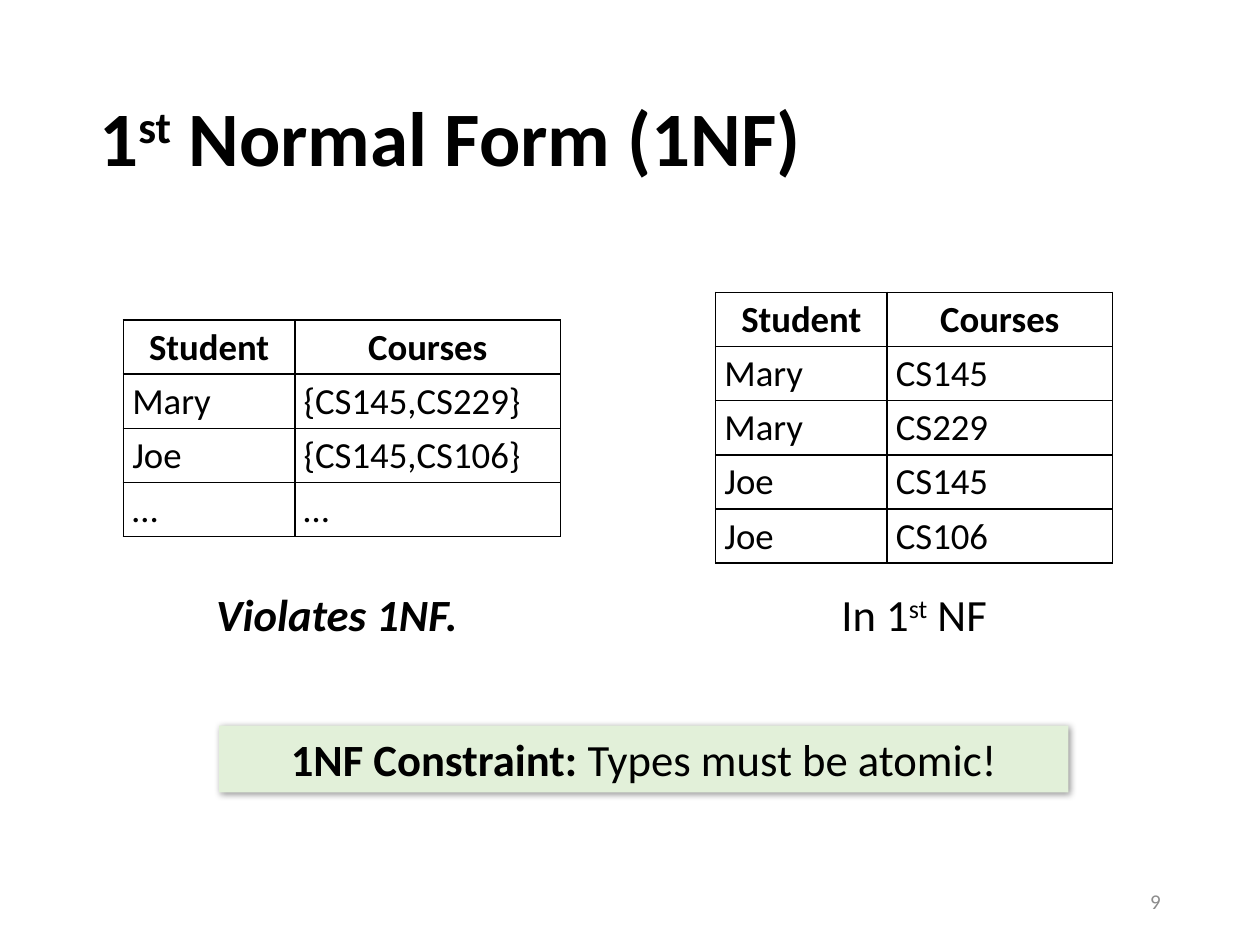
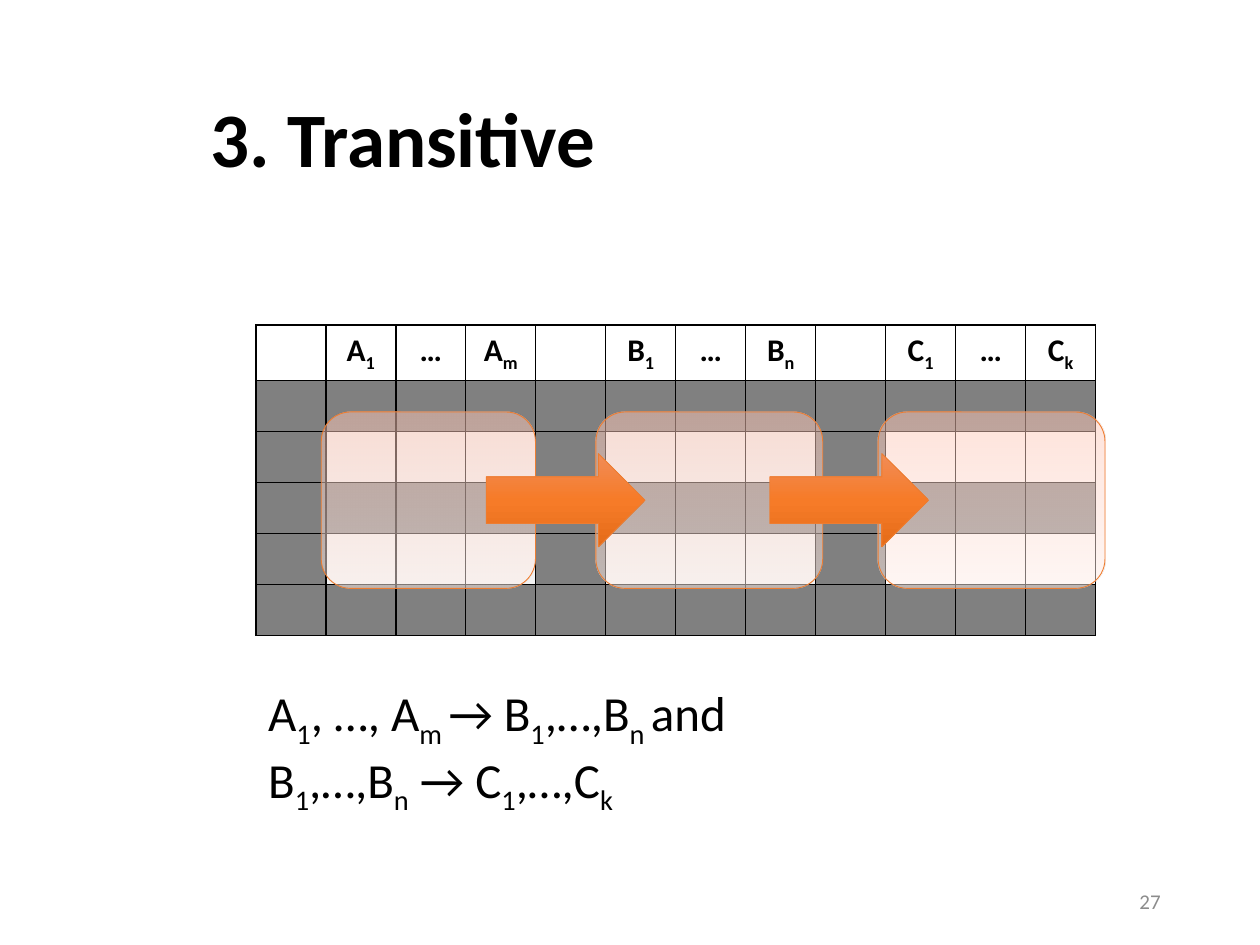
from lxml.etree import SubElement
from pptx import Presentation
from pptx.dml.color import RGBColor
from pptx.enum.shapes import MSO_SHAPE
from pptx.enum.text import MSO_ANCHOR, PP_ALIGN
from pptx.oxml import parse_xml
from pptx.oxml.ns import nsdecls, qn
from pptx.util import Inches, Pt

COLORS = {"ink": "000000", "number": "8C8C8C", "note": "E2F0D9", "dark": "808080",
          "pale": "F2F2F2", "white": "FFFFFF", "orange": "ED7D31"}
# Gradient stops: position in percent, colour, opacity in percent
GROUP_STOPS = [(0, "FFC7B6", 50), (35, "FFD7CB", 50), (100, "FFF0EB", 50)]
ARROW_STOPS = [(0, "F18C57", 100), (50, "F67B28", 100), (100, "E56C19", 100)]
BASELINES = {"^": "30000", "_": "-25000"}
LEFT, CENTER, RIGHT = PP_ALIGN.LEFT, PP_ALIGN.CENTER, PP_ALIGN.RIGHT


def write_runs(para, runs, size, align=LEFT, color="ink"):
    """Leading marks of a run: * bold, / italic, ^ superscript, _ subscript."""
    para.alignment = align
    for run in runs:
        text = run.lstrip("*/^_")
        marks = run[:len(run) - len(text)]
        span = para.add_run()
        span.text = text
        span.font.name = "Calibri"
        span.font.size = Pt(size)
        span.font.bold = "*" in marks
        span.font.italic = "/" in marks
        span.font.color.rgb = RGBColor.from_string(COLORS[color])
        for mark in marks:
            if mark in BASELINES:
                span.font._element.set("baseline", BASELINES[mark])


def add_text(page, place, lines, size, align=LEFT, anchor=MSO_ANCHOR.TOP, color="ink"):
    box = page.shapes.add_textbox(*map(Inches, place))
    frame = box.text_frame
    frame.word_wrap = True
    frame.vertical_anchor = anchor
    for index, runs in enumerate(lines):
        para = frame.add_paragraph() if index else frame.paragraphs[0]
        write_runs(para, runs, size, align, color)
    return box


deck = Presentation()
deck.slide_width, deck.slide_height = Inches(10), Inches(7.5)
normal_form, transitive = [deck.slides.add_slide(deck.slide_layouts[6]) for _ in range(2)]

# Titles and page numbers
for page, place, title, number in [
    (normal_form, (0.69, 0.4, 8.62, 1.45), ["*1", "*^st", "* Normal Form (1NF)"], "9"),
    (transitive, (1.57, 0.66, 6.75, 0.94), ["*3. Transitive"], "27"),
]:
    box = add_text(page, place, [title], 44, anchor=MSO_ANCHOR.MIDDLE)
    box.text_frame.paragraphs[0].line_spacing = 0.9
    add_text(page, (7.06, 6.95, 2.25, 0.4), [[number]], 12, RIGHT, MSO_ANCHOR.MIDDLE, "number")

# Table contents: each cell is a list of runs
violating = [["Mary", "{CS145,CS229}"], ["Joe", "{CS145,CS106}"], ["…", "…"]]
atomic = [["Mary", "CS145"], ["Mary", "CS229"], ["Joe", "CS145"], ["Joe", "CS106"]]
student_header = [["*Student"], ["*Courses"]]
attribute_header = []
for letter, last in ["Am", "Bn", "Ck"]:
    attribute_header += [[], ["*" + letter, "*_1"], ["*…"], ["*" + letter, "*_" + last]]
attribute_rows = [attribute_header] + [[[] for _ in range(12)] for _ in range(5)]

# Tables: page, left, top, height, column widths, rows, text size, side and top margins
for page, left, top, height, widths, rows, size, side, edge in [
    (normal_form, 0.98, 2.54, 1.72, [1.36, 2.11],
     [student_header] + [[[text] for text in row] for row in violating], 21, 0.07, 0.04),
    (normal_form, 5.68, 2.32, 2.12, [1.36, 1.79],
     [student_header] + [[[text] for text in row] for row in atomic], 21, 0.07, 0.04),
    (transitive, 2.03, 2.58, 2.43, [6.67 / 12] * 12, attribute_rows, 18, 0.1, 0.05),
]:
    table = page.shapes.add_table(len(rows), len(widths), Inches(left), Inches(top),
                                  Inches(sum(widths)), Inches(height)).table
    table.first_row = table.horz_banding = False
    for column, width in zip(table.columns, widths):
        column.width = Inches(width)
    for r, row in enumerate(rows):
        for c, runs in enumerate(row):
            cell = table.cell(r, c)
            cell.margin_left = cell.margin_right = Inches(side)
            cell.margin_top = cell.margin_bottom = Inches(edge)
            write_runs(cell.text_frame.paragraphs[0], runs, size, LEFT if r else CENTER)
            properties = cell._tc.get_or_add_tcPr()
            for name in ("a:lnL", "a:lnR", "a:lnT", "a:lnB"):
                line = SubElement(properties, qn(name), w=str(Pt(1)))
                fill = SubElement(line, qn("a:solidFill"))
                SubElement(fill, qn("a:srgbClr"), val=COLORS["ink"])
            if page is normal_form or r == 0:
                cell.fill.background()
                continue
            if r % 2 or c % 4 == 0:
                shade = "dark"
            else:
                shade = "pale" if c < 8 else "white"
            cell.fill.solid()
            cell.fill.fore_color.rgb = RGBColor.from_string(COLORS[shade])

# Captions under the two student tables
add_text(normal_form, (1.42, 4.61, 2.59, 0.53), [["*/Violates 1NF. "]], 25.5, CENTER)
add_text(normal_form, (6.51, 4.61, 1.49, 0.53), [["In 1", "^st", " NF"]], 25.5, CENTER)

# Constraint note with a soft shadow
note = add_text(normal_form, (1.74, 5.76, 6.74, 0.53),
                [["*1NF Constraint: ", "Types must be atomic!"]], 25.5, CENTER)
note.fill.solid()
note.fill.fore_color.rgb = RGBColor.from_string(COLORS["note"])
note._element.spPr.append(parse_xml(
    f'<a:effectLst {nsdecls("a")}><a:outerShdw blurRad="{Pt(4)}" dist="{Pt(1)}" dir="2700000" '
    f'algn="tl" rotWithShape="0"><a:srgbClr val="{COLORS["ink"]}"><a:alpha val="40000"/>'
    '</a:srgbClr></a:outerShdw></a:effectLst>'))

# Dependencies written out
add_text(transitive, (2.03, 5.37, 6.67, 1.04), [
    ["A", "_1", ", …, A", "_m ", "→ B", "_1", ",…,B", "_n ", "and"],
    ["B", "_1", ",…,B", "_n", " → C", "_1", ",…,C", "_k"],
], 28)

# Attribute groups and the arrows between them
group, arrow = MSO_SHAPE.ROUNDED_RECTANGLE, MSO_SHAPE.RIGHT_ARROW
for kind, left, width in [(group, 2.55, 1.7), (group, 4.73, 1.8), (arrow, 3.86, 1.26),
                          (group, 6.97, 1.8), (arrow, 6.11, 1.26)]:
    top, height, stops = (3.27, 1.4, GROUP_STOPS) if kind == group else (3.6, 0.74, ARROW_STOPS)
    shape = transitive.shapes.add_shape(kind, *map(Inches, (left, top, width, height)))
    shape.shadow.inherit = False
    shape.line.color.rgb = RGBColor.from_string(COLORS["orange"])
    shape.line.width = Pt(0.5)
    stop_xml = "".join(
        f'<a:gs pos="{position * 1000}"><a:srgbClr val="{color}">'
        f'<a:alpha val="{opacity * 1000}"/></a:srgbClr></a:gs>'
        for position, color, opacity in stops)
    shape._element.spPr.find(qn("a:prstGeom")).addnext(parse_xml(
        f'<a:gradFill {nsdecls("a")} rotWithShape="1"><a:gsLst>{stop_xml}</a:gsLst>'
        '<a:lin ang="5400000" scaled="0"/></a:gradFill>'))

deck.save("out.pptx")
